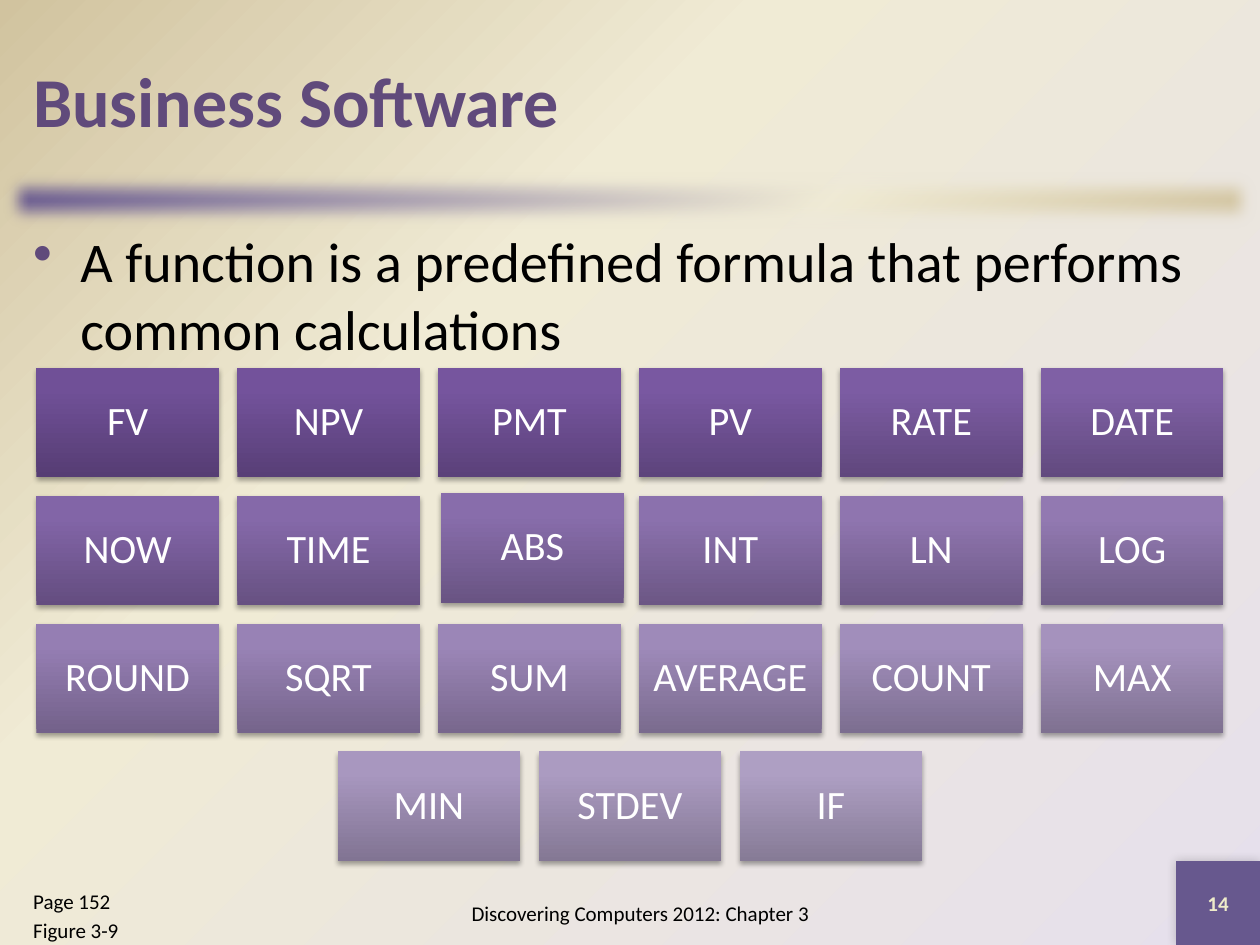
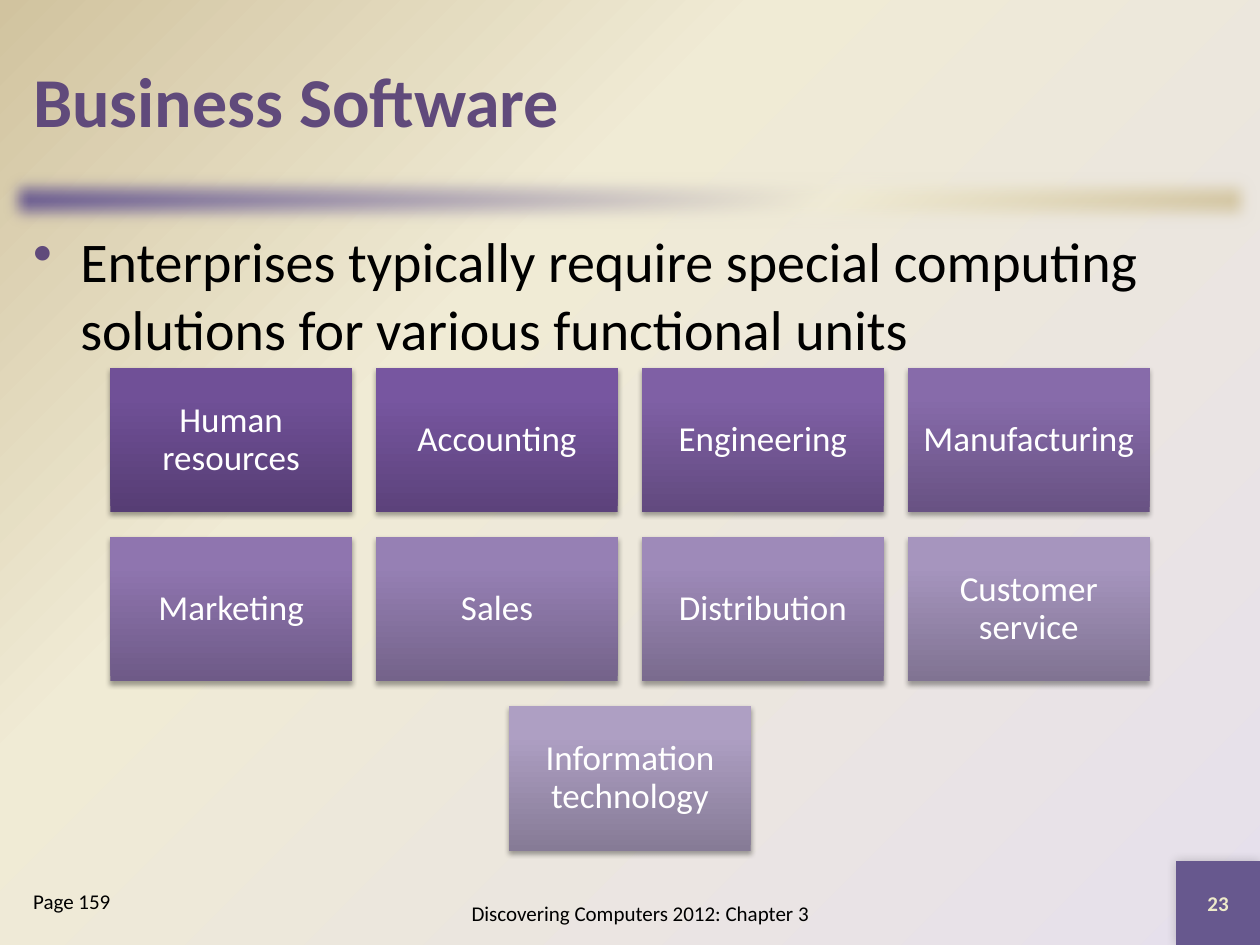
from dataclasses import dataclass
from typing import NamedTuple

from lxml import etree
from pptx import Presentation, util as u
from pptx.dml.color import RGBColor
from pptx.enum import shapes, text
from pptx.oxml.ns import qn

FONT = "Calibri"
COLORS = {
    "title": "604A7B",
    "body": "000000",
    "shadow": "000000",
    "tile_text": "FFFFFF",
    "number": "EEEBCA",
    "plum": "67588E",
    "lilac": "E6E0EC",
    "cream": "F0EBD5",
    "sand": "D1C39F",
}
TILE_SHADES = {
    0: ("563D74", "5C427B", "867B96"),
    80: ("705097", "7756A0", "AE9FC3"),
    100: ("704F99", "7755A2", "AE9FC4"),
}
SHADE_KNEE = 0.125
PAGE_WIDTH = 25.4
PAGE_HEIGHT = 19.05
GRID_TOP = 7.41
CORNER_SIZE = 1.69


class Area(NamedTuple):
    left: float
    top: float
    width: float
    height: float

    def lengths(self) -> list:
        return [u.Cm(value) for value in self]


class Shadow(NamedTuple):
    opacity: int
    blur: float
    distance: float
    direction: int


@dataclass(frozen=True)
class TileGrid:
    labels: tuple[str, ...]
    columns: int
    width: float
    height: float
    gap: float
    inset: float
    size: int
    nudges: dict[str, tuple[float, float]]


@dataclass(frozen=True)
class Page:
    title: str
    statement: str
    number: str
    references: tuple[str, ...]
    grid: TileGrid


CORNER = Area(PAGE_WIDTH - CORNER_SIZE, PAGE_HEIGHT - CORNER_SIZE, CORNER_SIZE, CORNER_SIZE)
BAND = Area(0, 3.39, PAGE_WIDTH, 1.27)
TITLE = Area(0.42, 0.42, 24.55, 3.18)
BODY = Area(0.42, 4.45, 24.55, 12.9)
FOOTER = Area(7.62, 17.78, 10.58, 1.27)
REFERENCE = Area(0.42, 17.78, 4.66, 1.27)
TILE_SHADOW = Shadow(35, 3.1, 1.8, 90)
CORNER_SHADOW = Shadow(20, 6, 0, 225)

PAGES = (
    Page(
        "Business Software",
        "A function is a predefined formula that performs common calculations",
        "14",
        ("Page 152", "Figure 3-9"),
        TileGrid(
            ("FV", "NPV", "PMT", "PV", "RATE", "DATE",
             "NOW", "TIME", "ABS", "INT", "LN", "LOG",
             "ROUND", "SQRT", "SUM", "AVERAGE", "COUNT", "MAX",
             "MIN", "STDEV", "IF"),
            6, 3.68, 2.21, 0.37, 0.25, 23, {"ABS": (0.06, -0.05)},
        ),
    ),
    Page(
        "Business Software",
        "Enterprises typically require special computing solutions for various functional units",
        "23",
        ("Page 159",),
        TileGrid(
            ("Human resources", "Accounting", "Engineering", "Manufacturing",
             "Marketing", "Sales", "Distribution", "Customer service",
             "Information technology"),
            4, 4.87, 2.92, 0.49, 0.2, 20, {},
        ),
    ),
)


def add_node(parent, tag: str, **attributes):
    return etree.SubElement(parent, qn(tag), {key: str(value) for key, value in attributes.items()})


def set_gradient(owner, fill, stops: dict[int, str], angle: int | None = None) -> None:
    fill.gradient()
    gradient = owner.find(".//" + qn("a:gradFill"))
    for child in list(gradient):
        gradient.remove(child)
    stop_list = add_node(gradient, "a:gsLst")
    for position, color in stops.items():
        stop = add_node(stop_list, "a:gs", pos=position * 1000)
        add_node(stop, "a:srgbClr", val=color)
    if angle is None:
        circle = add_node(gradient, "a:path", path="circle")
        add_node(circle, "a:fillToRect", l=100000, t=100000)
    else:
        add_node(gradient, "a:lin", ang=angle * 60000, scaled=0)


def set_shadow(shape, shadow: Shadow) -> None:
    effects = shape._element.spPr.find(qn("a:effectLst"))
    outer = add_node(
        effects, "a:outerShdw", blurRad=u.Pt(shadow.blur), dist=u.Pt(shadow.distance),
        dir=shadow.direction * 60000, algn="ctr", rotWithShape=0,
    )
    color = add_node(outer, "a:srgbClr", val=COLORS["shadow"])
    add_node(color, "a:alpha", val=shadow.opacity * 1000)


def add_rectangle(page, area: Area):
    shape = page.shapes.add_shape(shapes.MSO_SHAPE.RECTANGLE, *area.lengths())
    shape.shadow.inherit = False
    shape.line.fill.background()
    return shape


def add_bullet(para, color: str) -> None:
    properties = para._p.get_or_add_pPr()
    properties.set("marL", str(u.Cm(0.95)))
    properties.set("indent", str(-u.Cm(0.95)))
    add_node(add_node(properties, "a:buClr"), "a:srgbClr", val=color)
    add_node(properties, "a:buChar", char="•")


def write(shape, *lines: str, size: int, color: str = COLORS["body"], bold: bool = False,
          align=text.PP_ALIGN.LEFT, anchor=text.MSO_ANCHOR.MIDDLE,
          line_spacing: float | None = None, bullet: str | None = None,
          inset: float | None = None) -> None:
    frame = shape.text_frame
    frame.word_wrap = True
    frame.vertical_anchor = anchor
    if inset is not None:
        frame.margin_left = frame.margin_right = u.Cm(inset)
        frame.margin_top = frame.margin_bottom = u.Cm(inset)
    for index, line in enumerate(lines):
        para = frame.add_paragraph() if index else frame.paragraphs[0]
        para.alignment = align
        if line_spacing:
            para.line_spacing = line_spacing
        if index:
            para.space_before = u.Pt(size * 0.2)
        if bullet:
            add_bullet(para, bullet)
        span = para.add_run()
        span.text = line
        span.font.name = FONT
        span.font.size = u.Pt(size)
        span.font.bold = bold
        span.font.color.rgb = RGBColor.from_string(color)


def add_text(page, area: Area, *lines: str, **style) -> None:
    write(page.shapes.add_textbox(*area.lengths()), *lines, **style)


def blend(start: str, end: str, share: float) -> str:
    pairs = zip(bytes.fromhex(start), bytes.fromhex(end))
    return "".join(f"{round(a + (b - a) * share):02X}" for a, b in pairs)


def tile_shade(knots: tuple[str, str, str], share: float) -> str:
    first, knee, last = knots
    if share < SHADE_KNEE:
        return blend(first, knee, share / SHADE_KNEE)
    return blend(knee, last, (share - SHADE_KNEE) / (1 - SHADE_KNEE))


def draw_tiles(page, grid: TileGrid) -> None:
    count = len(grid.labels)
    for index, label in enumerate(grid.labels):
        row, column = divmod(index, grid.columns)
        in_row = min(grid.columns, count - row * grid.columns)
        row_width = in_row * (grid.width + grid.gap) - grid.gap
        shift_x, shift_y = grid.nudges.get(label, (0, 0))
        left = (PAGE_WIDTH - row_width) / 2 + column * (grid.width + grid.gap) + shift_x
        top = GRID_TOP + row * (grid.height + grid.gap) + shift_y
        tile = add_rectangle(page, Area(left, top, grid.width, grid.height))
        share = index / (count - 1)
        stops = {position: tile_shade(knots, share) for position, knots in TILE_SHADES.items()}
        set_gradient(tile._element, tile.fill, stops, 270)
        set_shadow(tile, TILE_SHADOW)
        write(tile, label, size=grid.size, color=COLORS["tile_text"],
              align=text.PP_ALIGN.CENTER, line_spacing=0.9, inset=grid.inset)


def draw_frame(page, content: Page) -> None:
    set_gradient(page._element, page.background.fill,
                 {0: COLORS["lilac"], 65: COLORS["cream"], 100: COLORS["sand"]})
    band = add_rectangle(page, BAND)
    set_gradient(band._element, band.fill,
                 {0: COLORS["plum"], 65: COLORS["cream"], 100: COLORS["sand"]}, 45)
    add_node(band._element.spPr.find(qn("a:effectLst")), "a:softEdge", rad=u.Pt(10))
    corner = add_rectangle(page, CORNER)
    corner.fill.solid()
    corner.fill.fore_color.rgb = RGBColor.from_string(COLORS["plum"])
    set_shadow(corner, CORNER_SHADOW)
    write(corner, content.number, size=12, color=COLORS["number"], bold=True,
          align=text.PP_ALIGN.CENTER)
    add_text(page, TITLE, content.title, size=40, color=COLORS["title"], bold=True)
    add_text(page, FOOTER, "Discovering Computers 2012: Chapter 3", size=12,
             align=text.PP_ALIGN.CENTER)
    add_text(page, REFERENCE, *content.references, size=12, anchor=text.MSO_ANCHOR.TOP)


def main() -> None:
    deck = Presentation()
    deck.slide_width, deck.slide_height = u.Cm(PAGE_WIDTH), u.Cm(PAGE_HEIGHT)
    for content in PAGES:
        page = deck.slides.add_slide(deck.slide_layouts[6])
        draw_frame(page, content)
        add_text(page, BODY, content.statement, size=32, bullet=COLORS["title"],
                 anchor=text.MSO_ANCHOR.TOP)
        draw_tiles(page, content.grid)
    deck.save("out.pptx")


if __name__ == "__main__":
    main()
